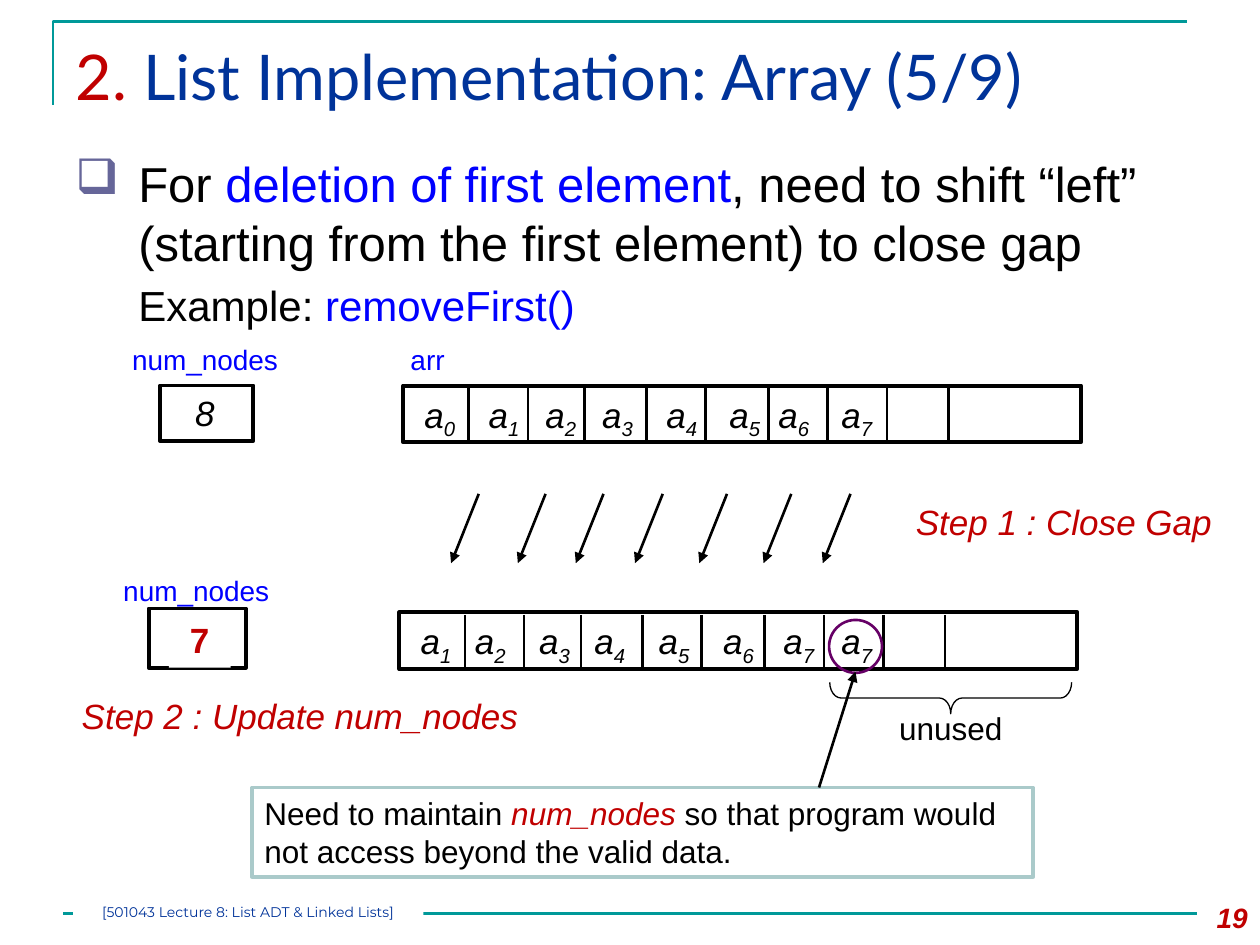
from lxml import etree
from pptx import Presentation
from pptx.dml.color import RGBColor
from pptx.enum.shapes import MSO_CONNECTOR, MSO_SHAPE
from pptx.enum.text import MSO_ANCHOR, MSO_AUTO_SIZE, PP_ALIGN
from pptx.oxml.ns import qn
from pptx.util import Cm, Pt

STRAIGHT = MSO_CONNECTOR.STRAIGHT
RECTANGLE, ELLIPSE, BRACE = MSO_SHAPE.RECTANGLE, MSO_SHAPE.OVAL, MSO_SHAPE.RIGHT_BRACE
TOP, FIT = MSO_ANCHOR.TOP, MSO_AUTO_SIZE.SHAPE_TO_FIT_TEXT
LEFT, CENTER, RIGHT = PP_ALIGN.LEFT, PP_ALIGN.CENTER, PP_ALIGN.RIGHT
BLACK, WHITE, BLUE, RED = "000000", "FFFFFF", "0000FF", "C00000"
NAVY, TEAL, PURPLE = "003399", "009999", "660066"

TITLE = [("2. ", RED), ("List Implementation: Array (5/9)", NAVY)]
BODY = [
    ("For ", BLACK),
    ("deletion of first element", BLUE),
    (", need to shift “left” (starting from the first element) to close gap", BLACK),
]
CALLOUT = [
    ("Need to maintain ", BLACK),
    ("num_nodes", RED, "i"),
    (" so that program would not access beyond the valid data.", BLACK),
]
LABELS = [
    ((1, 2.17, 3.81, 0.5), 24, [("Example: ", BLACK), ("removeFirst()", BLUE)]),
    ((0.95, 2.67, 1.37, 0.37), 16, [("num_nodes", BLUE)]),
    ((3.16, 2.67, 0.47, 0.37), 16, [("arr", BLUE)]),
    ((1.45, 3.06, 0.36, 0.43), 20, [("8", BLACK, "i")]),
    ((0.88, 4.5, 1.37, 0.37), 16, [("num_nodes", BLUE)]),
    ((7.17, 3.92, 2.57, 0.44), 20, [("Step 1 : Close Gap", RED, "i")]),
    ((0.55, 5.46, 3.69, 0.44), 20, [("Step 2 : Update num_nodes", RED, "i")]),
]
COUNT_BOXES = [(1.27, 3.06, 0.74, 0.44), (1.18, 4.83, 0.77, 0.47)]
ARRAYS = [
    (3.2, 3.06, [("0", 3.27), ("1", 3.78), ("2", 4.23), ("3", 4.68),
                 ("4", 5.19), ("5", 5.69), ("6", 6.08), ("7", 6.58)]),
    (3.17, 4.86, [("1", 3.24), ("2", 3.67), ("3", 4.18), ("4", 4.62),
                  ("5", 5.13), ("6", 5.64), ("7", 6.12), ("7", 6.58)]),
]
DIVIDERS = [0.52, 0.99, 1.44, 1.93, 2.4, 2.9, 3.37, 3.84, 4.33]
SHIFT_ARROWS = [3.8, 4.33, 4.79, 5.26, 5.77, 6.28, 6.75]


def inches(*values):
    return [Cm(value * 2.54) for value in values]


def color(hex_code):
    return RGBColor.from_string(hex_code)


def add_runs(paragraph, runs, size, font="Arial"):
    for text, hex_code, *style in runs:
        run = paragraph.add_run()
        run.text = text
        run.font.name = font
        run.font.size = Pt(size)
        run.font.color.rgb = color(hex_code)
        flags = "".join(style)
        run.font.bold = "b" in flags
        run.font.italic = "i" in flags
        if "s" in flags:
            run.font._element.set("baseline", "-25000")


def write(shape, runs, size, align=LEFT, wrap=True, font="Arial"):
    frame = shape.text_frame
    frame.word_wrap = wrap
    frame.vertical_anchor = TOP
    paragraph = frame.paragraphs[0]
    paragraph.alignment = align
    add_runs(paragraph, runs, size, font)
    return paragraph


def add_label(slide, box, size, runs, align=LEFT, wrap=False):
    label = slide.shapes.add_textbox(*inches(*box))
    paragraph = write(label, runs, size, align, wrap)
    if not wrap:
        label.text_frame.auto_size = FIT
    return paragraph


def add_box(slide, box, kind=RECTANGLE, line=None, width=2.25, fill=None):
    shape = slide.shapes.add_shape(kind, *inches(*box))
    shape.shadow.inherit = False
    if fill:
        shape.fill.solid()
        shape.fill.fore_color.rgb = color(fill)
    else:
        shape.fill.background()
    if line:
        shape.line.color.rgb = color(line)
        shape.line.width = Pt(width)
    else:
        shape.line.fill.background()
    return shape


def add_line(slide, start, end, hex_code=BLACK, arrow=False):
    connector = slide.shapes.add_connector(STRAIGHT, *inches(*start, *end))
    connector.line.color.rgb = color(hex_code)
    connector.line.width = Pt(1.5)
    if arrow:
        etree.SubElement(connector.line._get_or_add_ln(), qn("a:tailEnd"), type="triangle")
    etree.SubElement(connector._element.spPr, qn("a:effectLst"))


def add_bullet(paragraph):
    properties = paragraph._p.get_or_add_pPr()
    properties.set("marL", str(Cm(1.27)))
    properties.set("indent", str(-Cm(1.27)))
    before = etree.SubElement(properties, qn("a:spcBef"))
    etree.SubElement(before, qn("a:spcPct"), val="20000")
    bullet_color = etree.SubElement(properties, qn("a:buClr"))
    etree.SubElement(bullet_color, qn("a:srgbClr"), val="666699")
    etree.SubElement(properties, qn("a:buChar"), char="❑")


def add_frame(slide):
    builder = slide.shapes.build_freeform(*inches(0.42, 0.83))
    builder.add_line_segments([inches(0.42, 0.17), inches(9.42, 0.17)], close=False)
    corner = builder.convert_to_shape()
    corner.shadow.inherit = False
    corner.fill.background()
    corner.line.color.rgb = color(TEAL)
    corner.line.width = Pt(1.5)
    add_line(slide, (0.5, 7.25), (9.5, 7.25), TEAL)
    footer = add_box(slide, (0.58, 7.17, 2.78, 0.2), fill=WHITE)
    frame = footer.text_frame
    frame.margin_left = frame.margin_right = frame.margin_top = frame.margin_bottom = 0
    write(footer, [("[501043 Lecture 8: List ADT & Linked Lists]", NAVY)], 8, CENTER, font="Montserrat")
    add_label(slide, (9.33, 7.1, 0.67, 0.4), 16, [("19", RED, "bi")], RIGHT, True)


def add_array(slide, left, top, cells):
    add_box(slide, (left, top, 5.38, 0.45), line=BLACK)
    for offset in DIVIDERS:
        add_line(slide, (left + offset, top + 0.02), (left + offset, top + 0.45))
    for index, cell_left in cells:
        add_label(slide, (cell_left, top + 0.01, 0.46, 0.43), 20,
                  [("a", BLACK, "i"), (index, BLACK, "is")])


def main():
    presentation = Presentation()
    presentation.slide_width, presentation.slide_height = inches(10, 7.5)
    slide = presentation.slides.add_slide(presentation.slide_layouts[5])
    add_frame(slide)

    title = slide.shapes.title
    title.left, title.top, title.width, title.height = inches(0.5, 0.25, 9, 0.86)
    write(title, TITLE, 36, font="Lato")
    add_bullet(add_label(slide, (0.5, 1.17, 9, 1), 28, BODY, wrap=True))

    for box in COUNT_BOXES:
        add_box(slide, box, line=BLACK)
    for array in ARRAYS:
        add_array(slide, *array)
    for label in LABELS:
        add_label(slide, *label)
    for start in SHIFT_ARROWS:
        add_line(slide, (start, 3.92), (start - 0.22, 4.47), arrow=True)

    new_count = add_box(slide, (1.34, 4.86, 0.49, 0.44), fill=WHITE)
    write(new_count, [("7", RED, "b")], 20, CENTER)
    callout = add_box(slide, (2, 6.25, 6.2, 0.71), line="AACACA", width=2, fill=WHITE)
    write(callout, CALLOUT, 18)
    add_box(slide, (6.58, 4.92, 0.42, 0.42), ELLIPSE, PURPLE, 1.5)
    add_line(slide, (6.5, 6.25), (6.79, 5.33), arrow=True)

    brace = add_box(slide, (7.42, 4.58, 0.25, 1.92), BRACE, BLACK, 0.75)
    brace.rotation = 90
    brace.adjustments[0] = 0.36
    add_label(slide, (6.92, 5.58, 1.25, 0.4), 18, [("unused", BLACK)], CENTER, True)

    presentation.save("out.pptx")


if __name__ == "__main__":
    main()
